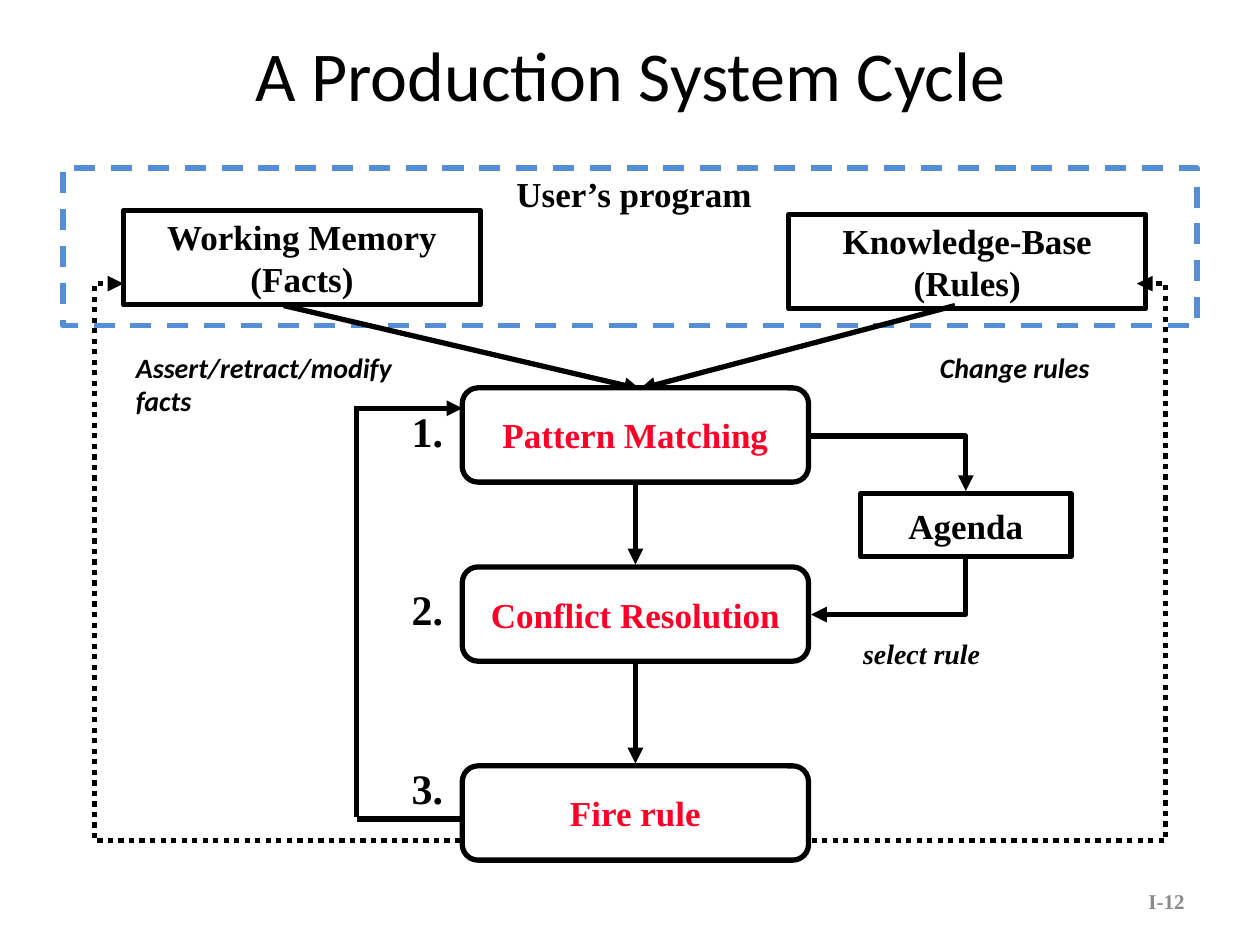
from lxml import etree
from pptx import Presentation
from pptx.dml.color import RGBColor
from pptx.enum.dml import MSO_LINE
from pptx.enum.shapes import MSO_CONNECTOR, MSO_SHAPE
from pptx.enum.text import MSO_ANCHOR, PP_ALIGN
from pptx.oxml.ns import qn
from pptx.util import Cm, Pt

RECTANGLE = MSO_SHAPE.RECTANGLE
ROUNDED = MSO_SHAPE.FLOWCHART_ALTERNATE_PROCESS
STRAIGHT = MSO_CONNECTOR.STRAIGHT
ELBOW = MSO_CONNECTOR.ELBOW
DASH = MSO_LINE.DASH
DOT = MSO_LINE.ROUND_DOT
LEFT, CENTER, RIGHT = PP_ALIGN.LEFT, PP_ALIGN.CENTER, PP_ALIGN.RIGHT
TOP, MIDDLE = MSO_ANCHOR.TOP, MSO_ANCHOR.MIDDLE

COLORS = {
    "black": "000000",
    "white": "FFFFFF",
    "red": "FC0128",
    "blue": "558ED5",
    "gray": "898989",
}
SERIF = {"name": "Times New Roman", "bold": True}
TITLE = {"name": "Calibri", "size": Pt(40)}
BOX = {**SERIF, "size": Pt(20)}
NUMBER = {**SERIF, "size": Pt(24)}
NOTE = {"name": "Calibri", "size": Pt(16), "bold": True, "italic": True}
SERIF_NOTE = {**NOTE, **SERIF}
PAGE = {**SERIF, "size": Pt(12)}
LINE_WIDTH = Pt(3)


def color(name):
    return RGBColor.from_string(COLORS[name])


def place(box, left, top):
    return Cm(box[0] + left), Cm(box[1] + top)


def write(shape, text, font, ink="black", align=LEFT, anchor=TOP, wrap=True):
    frame = shape.text_frame
    frame.text = text
    frame.word_wrap = wrap
    frame.vertical_anchor = anchor
    for paragraph in frame.paragraphs:
        paragraph.alignment = align
        for run in paragraph.runs:
            for name, value in font.items():
                setattr(run.font, name, value)
            run.font.color.rgb = color(ink)


def add_label(slide, box, left, top, width, height, text, font, **layout):
    shape = slide.shapes.add_textbox(*place(box, left, top), Cm(width), Cm(height))
    write(shape, text, font, **layout)


def add_frame(slide, box, left, top, width, height, kind=RECTANGLE, line="black"):
    shape = slide.shapes.add_shape(kind, *place(box, left, top), Cm(width), Cm(height))
    shape.shadow.inherit = False
    shape.line.color.rgb = color(line)
    shape.line.width = LINE_WIDTH
    return shape


def add_box(slide, box, left, top, width, height, text, kind=RECTANGLE, ink="black"):
    shape = add_frame(slide, box, left, top, width, height, kind)
    shape.fill.solid()
    shape.fill.fore_color.rgb = color("white")
    write(shape, text, BOX, ink, CENTER, MIDDLE, wrap=False)


def add_line(slide, box, start, end, arrow="tailEnd", kind=STRAIGHT, dash=None):
    connector = slide.shapes.add_connector(kind, *place(box, *start), *place(box, *end))
    connector.line.color.rgb = color("black")
    connector.line.width = LINE_WIDTH
    if dash:
        connector.line.dash_style = dash
    properties = connector._element.spPr
    if arrow:
        etree.SubElement(properties.find(qn("a:ln")), qn(f"a:{arrow}"), type="triangle")
    etree.SubElement(properties, qn("a:effectLst"))
    return properties.find(qn("a:prstGeom"))


def add_corner(slide, box, start, end, arrow):
    geometry = add_line(slide, box, start, end, arrow, ELBOW)
    geometry.set("prst", "bentConnector2")


def add_detour(slide, box, start, end, bend):
    geometry = add_line(slide, box, start, end, kind=ELBOW, dash=DOT)
    ratio = round(100000 * (bend - start[0]) / (end[0] - start[0]))
    etree.SubElement(
        geometry.find(qn("a:avLst")), qn("a:gd"), name="adj1", fmla=f"val {ratio}"
    )


def add_title(slide, box):
    add_label(slide, box, 0, 0, *box[2:], "A Production System Cycle", TITLE,
              align=CENTER, anchor=MIDDLE)


def add_user_program(slide, box):
    stores = [
        (1.22, 0.85, "Working Memory\v(Facts)"),
        (14.63, 0.93, "Knowledge-Base\v(Rules)"),
    ]
    for left, top, text in stores:
        add_box(slide, box, left, top, 7.2, 1.9, text)
    border = add_frame(slide, box, 0, 0, *box[2:], line="blue")
    border.fill.background()
    border.line.dash_style = DASH
    add_label(slide, box, 8.89, -0.03, 6.35, 1.12, "User’s program", BOX)
    for left in (17.98, 4.45):
        add_line(slide, box, (left, 2.77), (11.63, 4.45))


def add_cycle(slide, box):
    step_left, step_width, step_height, gap = 2.13, 6.98, 1.9, 0.05
    center = step_left + step_width / 2
    steps = [
        (0, 0.23, "Pattern Matching"),
        (3.61, 3.81, "Conflict Resolution"),
        (7.62, 7.42, "Fire rule"),
    ]
    for number, (top, number_top, text) in enumerate(steps, 1):
        add_box(slide, box, step_left, top, step_width, step_height, text, ROUNDED, "red")
        add_label(slide, box, 0.86, number_top, 1.14, 1.27, f"{number}.", NUMBER, wrap=False)
    for (upper, _, _), (lower, _, _) in zip(steps, steps[1:]):
        add_line(slide, box, (center, upper + step_height + gap), (center, lower - gap))

    add_box(slide, box, 10.16, 2.13, 4.24, 1.27, "Agenda")
    step_right = step_left + step_width + gap
    add_corner(slide, box, (step_right, 0.97), (12.28, 2.08), "tailEnd")
    add_corner(slide, box, (step_right, 4.57), (12.28, 3.45), "headEnd")
    add_label(slide, box, 9.96, 4.88, 2.87, 0.94, "select rule", SERIF_NOTE, wrap=False)

    add_line(slide, box, (step_left, 0.41), (0, 0.41), "headEnd")
    add_line(slide, box, (0, 0.36), (0, 8.64), None)
    add_line(slide, box, (0, 8.69), (step_left, 8.69), None)


def add_feedback(slide, box):
    width, height = box[2:]
    add_detour(slide, box, (14.45, height), (21.01, 0), width)
    add_detour(slide, box, (7.37, height), (0.58, 0), 0)
    add_label(slide, box, 0.58, 1.22, 6.2, 1.63, "Assert/retract/modify\nfacts", NOTE)
    add_label(slide, box, 16.79, 1.22, 4.19, 0.94, "Change rules", NOTE)


def add_page_number(slide, box):
    add_label(slide, box, 0, 0, *box[2:], "I-12", PAGE,
              ink="gray", align=RIGHT, anchor=MIDDLE)


def main():
    presentation = Presentation()
    presentation.slide_width = Cm(25.4)
    presentation.slide_height = Cm(19.05)
    slide = presentation.slides.add_slide(presentation.slide_layouts[6])
    add_title(slide, (1.91, 0.64, 21.59, 1.7))
    add_user_program(slide, (1.27, 3.39, 22.86, 3.18))
    add_cycle(slide, (7.19, 7.82, 14.4, 9.53))
    add_feedback(slide, (1.91, 5.72, 21.59, 11.23))
    add_page_number(slide, (18.21, 17.65, 5.92, 1.02))
    presentation.save("out.pptx")


if __name__ == "__main__":
    main()
